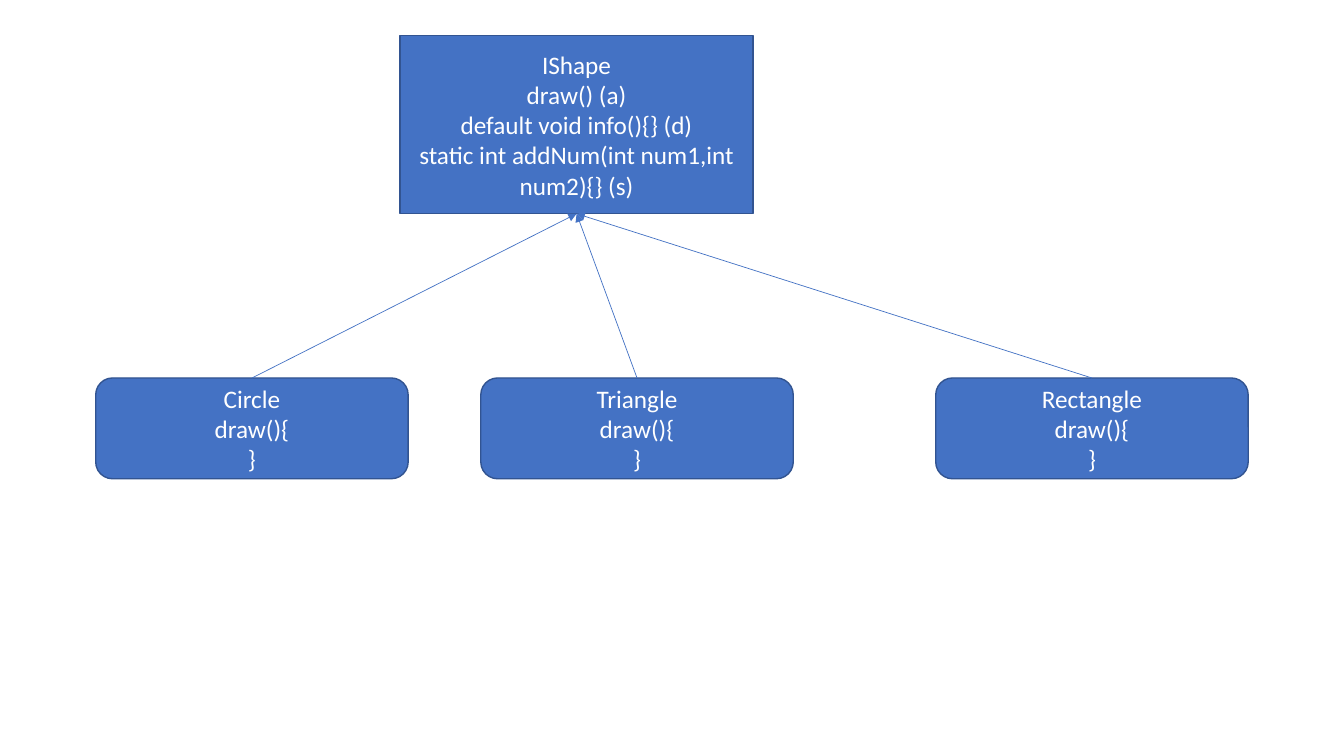
from lxml import etree
from pptx import Presentation
from pptx.dml.color import RGBColor
from pptx.enum.shapes import MSO_CONNECTOR as Connector, MSO_SHAPE as Preset
from pptx.enum.text import MSO_ANCHOR as Anchor, PP_ALIGN as Align
from pptx.oxml.ns import qn
from pptx.util import Inches, Pt

COLORS = {"fill": "4472C4", "outline": "325491", "text": "FFFFFF"}
COLUMNS, ROWS = 40, 30
TOP_SITE, BOTTOM_SITE = 0, 2


def rgb(name):
    return RGBColor.from_string(COLORS[name])


def write_text(frame, lines, size=18, font="Calibri", color="text", align=Align.CENTER):
    frame.word_wrap = True
    frame.vertical_anchor = Anchor.MIDDLE
    for index, line in enumerate(lines):
        paragraph = frame.paragraphs[0] if index == 0 else frame.add_paragraph()
        paragraph.alignment = align
        run = paragraph.add_run()
        run.text = line
        run.font.size = Pt(size)
        run.font.name = font
        run.font.color.rgb = rgb(color)


class ClassDiagram:
    """Draws on one slide, with lengths in grid columns and rows."""

    def __init__(self, deck):
        self.slide = deck.slides.add_slide(deck.slide_layouts[6])
        self.column = deck.slide_width / COLUMNS
        self.row = deck.slide_height / ROWS

    def box(self, preset, left, top, width, height, lines):
        box = self.slide.shapes.add_shape(
            preset, round(left * self.column), round(top * self.row),
            round(width * self.column), round(height * self.row))
        box.shadow.inherit = False
        box.fill.solid()
        box.fill.fore_color.rgb = rgb("fill")
        box.line.color.rgb = rgb("outline")
        box.line.width = Pt(1)
        write_text(box.text_frame, lines)
        return box

    def arrow(self, child, parent):
        """Points from the top of the child to the bottom of the parent."""
        arrow = self.slide.shapes.add_connector(Connector.STRAIGHT, 0, 0, 0, 0)
        arrow.begin_connect(child, TOP_SITE)
        arrow.end_connect(parent, BOTTOM_SITE)
        arrow.line.color.rgb = rgb("fill")
        arrow.line.width = Pt(0.5)
        outline = arrow.line._get_or_add_ln()
        etree.SubElement(outline, qn("a:tailEnd"), type="triangle")
        etree.SubElement(arrow._element.spPr, qn("a:effectLst"))


def main():
    deck = Presentation()
    deck.slide_width, deck.slide_height = Inches(13.33), Inches(7.5)
    diagram = ClassDiagram(deck)

    interface = diagram.box(Preset.RECTANGLE, 11.91, 1.4, 10.5, 7.08, [
        "IShape",
        "draw() (a)",
        "default void info(){} (d)",
        "static int addNum(int num1,int num2){} (s)",
    ])
    class_columns = {"Circle": 2.85, "Triangle": 14.31, "Rectangle": 27.85}
    classes = [
        diagram.box(Preset.ROUNDED_RECTANGLE, left, 15, 9.3, 4, [name, "draw(){", "}"])
        for name, left in class_columns.items()
    ]
    for shape_class in classes:
        diagram.arrow(shape_class, interface)

    deck.save("out.pptx")


if __name__ == "__main__":
    main()
